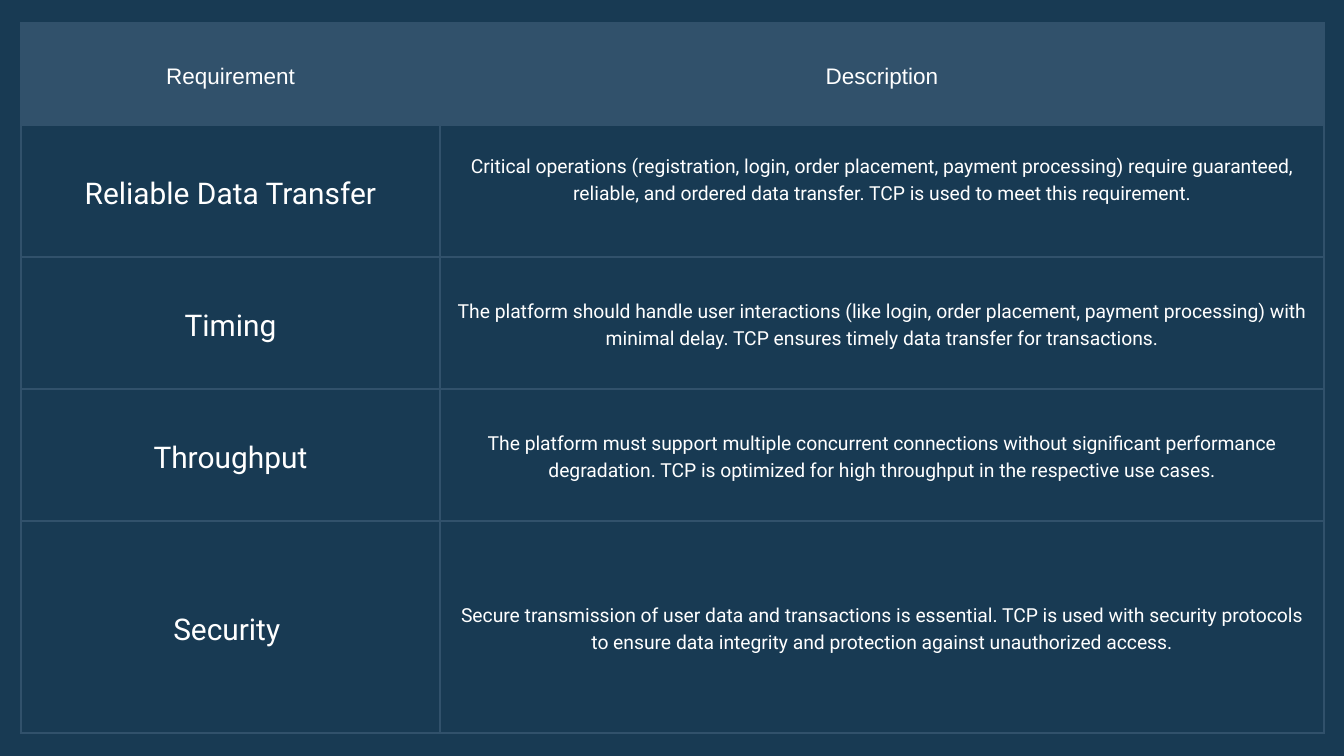
import pptx
import pptx.dml.color
import pptx.enum.text
import pptx.oxml
import pptx.oxml.ns
import pptx.util
from dataclasses import dataclass

HEADINGS = ("Requirement", "Description")
REQUIREMENTS = [
    ("Reliable Data Transfer",
     "Critical operations (registration, login, order placement, payment processing) require guaranteed, "
     "reliable, and ordered data transfer. TCP is used to meet this requirement."),
    ("Timing",
     "The platform should handle user interactions (like login, order placement, payment processing) with "
     "minimal delay. TCP ensures timely data transfer for transactions."),
    ("Throughput",
     "The platform must support multiple concurrent connections without significant performance "
     "degradation. TCP is optimized for high throughput in the respective use cases."),
    ("Security ",
     "Secure transmission of user data and transactions is essential. TCP is used with security protocols "
     "to ensure data integrity and protection against unauthorized access."),
]

SLIDE_SIZE = (1344, 756)
TABLE_ORIGIN = (21, 23)
COLUMN_WIDTHS = (419, 884)
ROW_HEIGHTS = (102, 132, 132, 132, 212)
CELL_MARGIN = 14
RAISED_CELL = (1, 1)  # this description sits above the middle of its row
RAISED_BOTTOM_MARGIN = 40


@dataclass(frozen=True)
class Theme:
    background: str = "183A53"
    panel: str = "31516B"
    text: str = "FFFFFF"
    border_width: float = 1.5
    heading: tuple = ("Arial", 24.1, 33.8)  # font, size, line spacing
    name: tuple = ("Roboto", 32, 44.8)
    description: tuple = ("Roboto", 20.7, 29)


THEME = Theme()


def px(length):
    return pptx.util.Emu(round(length * 914400 / 67.2))


def rgb(colour):
    return pptx.dml.color.RGBColor.from_string(colour)


def write(cell, text, *, font, size, leading, bottom=CELL_MARGIN):
    cell.margin_left = cell.margin_right = cell.margin_top = px(CELL_MARGIN)
    cell.margin_bottom = px(bottom)
    cell.vertical_anchor = pptx.enum.text.MSO_ANCHOR.MIDDLE
    paragraph = cell.text_frame.paragraphs[0]
    paragraph.alignment = pptx.enum.text.PP_ALIGN.CENTER
    paragraph.line_spacing = pptx.util.Pt(leading)
    run = paragraph.add_run()
    run.text = text
    run.font.name = font
    run.font.size = pptx.util.Pt(size)
    run.font.color.rgb = rgb(THEME.text)


def add_borders(cell):
    """Outline all four sides; the lines must precede the fill in tcPr."""
    properties = cell._tc.get_or_add_tcPr()
    width = pptx.util.Pt(THEME.border_width)
    for position, side in enumerate(("lnL", "lnR", "lnT", "lnB")):
        properties.insert(position, pptx.oxml.parse_xml(
            f'<a:{side} {pptx.oxml.ns.nsdecls("a")} w="{width}">'
            f'<a:solidFill><a:srgbClr val="{THEME.panel}"/></a:solidFill></a:{side}>'))


def add_requirements_table(slide):
    contents = [HEADINGS, *REQUIREMENTS]
    table = slide.shapes.add_table(
        len(contents), len(HEADINGS), *map(px, TABLE_ORIGIN),
        px(sum(COLUMN_WIDTHS)), px(sum(ROW_HEIGHTS))).table
    table.first_row = table.horz_banding = False
    for column, width in zip(table.columns, COLUMN_WIDTHS):
        column.width = px(width)
    for row, height in zip(table.rows, ROW_HEIGHTS):
        row.height = px(height)

    for r, texts in enumerate(contents):
        for c, text in enumerate(texts):
            cell = table.cell(r, c)
            if r == 0:
                cell.fill.solid()
                cell.fill.fore_color.rgb = rgb(THEME.panel)
                style = THEME.heading
            else:
                cell.fill.background()
                style = (THEME.name, THEME.description)[c]
            add_borders(cell)
            font, size, leading = style
            bottom = RAISED_BOTTOM_MARGIN if (r, c) == RAISED_CELL else CELL_MARGIN
            write(cell, text, font=font, size=size, leading=leading, bottom=bottom)


def main():
    presentation = pptx.Presentation()
    presentation.slide_width, presentation.slide_height = map(px, SLIDE_SIZE)
    slide = presentation.slides.add_slide(presentation.slide_layouts[6])
    slide.background.fill.solid()
    slide.background.fill.fore_color.rgb = rgb(THEME.background)
    add_requirements_table(slide)
    presentation.save("out.pptx")


if __name__ == "__main__":
    main()
